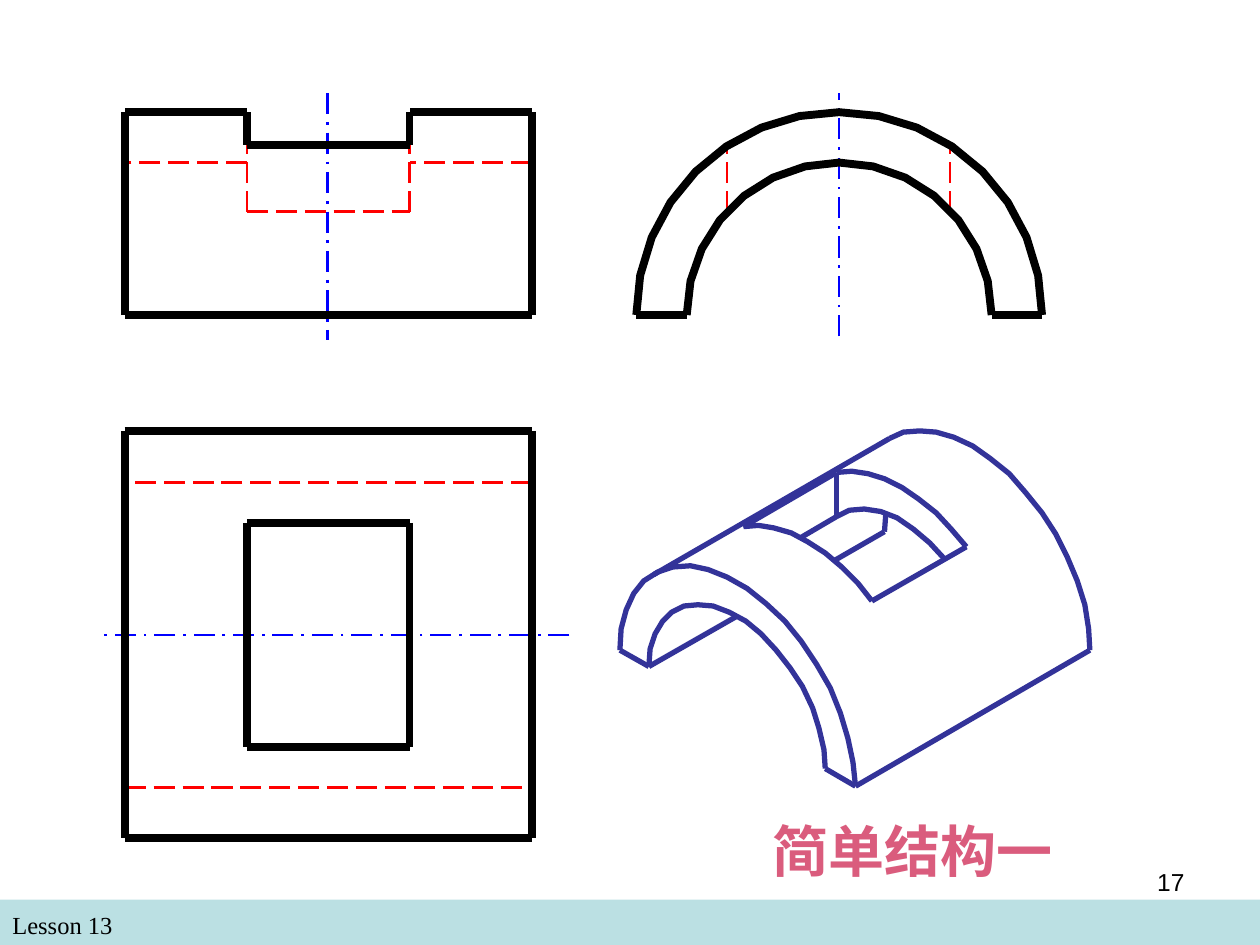
import math

import pptx
import pptx.dml.color
import pptx.enum.dml
import pptx.enum.shapes
import pptx.enum.text
import pptx.oxml
import pptx.oxml.ns
import pptx.util
from lxml import etree
from pptx.util import Inches

RGBColor = pptx.dml.color.RGBColor
BLACK = RGBColor(0x00, 0x00, 0x00)
RED = RGBColor(0xFF, 0x00, 0x00)
BLUE = RGBColor(0x00, 0x00, 0xFF)
INDIGO = RGBColor(0x33, 0x33, 0x99)
PINK = RGBColor(0xDA, 0x5C, 0x7D)
PALE_TEAL = RGBColor(0xBB, 0xE0, 0xE3)
ALIGN = pptx.enum.text.PP_ALIGN
HIDDEN = pptx.enum.dml.MSO_LINE.LONG_DASH
CENTRE = pptx.enum.dml.MSO_LINE.LONG_DASH_DOT

deck = pptx.Presentation()
deck.slide_width, deck.slide_height = Inches(10), Inches(7.5)
page = deck.slides.add_slide(deck.slide_layouts[5])


def draw(points, color, width, dash=None):
    """Draw a connector through two points, or an open outline through more."""
    corners = [(Inches(x), Inches(y)) for x, y in points]
    if len(corners) == 2:
        stroke = page.shapes.add_connector(
            pptx.enum.shapes.MSO_CONNECTOR.STRAIGHT, *corners[0], *corners[1])
    else:
        builder = page.shapes.build_freeform(*corners[0], scale=1)
        builder.add_line_segments(corners[1:], close=False)
        stroke = builder.convert_to_shape()
        stroke.fill.background()
    stroke.line.color.rgb = color
    stroke.line.width = pptx.util.Pt(width)
    if dash:
        stroke.line.dash_style = dash
    etree.SubElement(stroke._element.spPr, pptx.oxml.ns.qn("a:effectLst"))


def write(box, place, text, font, size, color, align=ALIGN.LEFT, bold=False):
    """Place a text box or placeholder and format its single line."""
    box.left, box.top, box.width, box.height = (Inches(v) for v in place)
    frame = box.text_frame
    frame.word_wrap = True
    frame.auto_size = pptx.enum.text.MSO_AUTO_SIZE.NONE
    frame.vertical_anchor = pptx.enum.text.MSO_ANCHOR.TOP
    frame.text = text
    para = frame.paragraphs[0]
    para.alignment = align
    span = para.runs[0]
    span.font.name, span.font.size = font, pptx.util.Pt(size)
    span.font.bold, span.font.color.rgb = bold, color


# Footer band
band = page.shapes.add_shape(
    pptx.enum.shapes.MSO_SHAPE.RECTANGLE,
    Inches(0), Inches(7.14), Inches(10), Inches(0.36))
band.shadow.inherit = False
band.fill.solid()
band.fill.fore_color.rgb = PALE_TEAL
band.line.fill.background()
write(page.shapes.add_textbox(0, 0, 0, 0), (0, 7.17, 4.83, 0.34),
      "Lesson 13", "Times New Roman", 14, BLACK)

# Isometric view: curved edges
outer_back = [
    (8.65, 5.16), (8.64, 4.99), (8.61, 4.8), (8.55, 4.61), (8.47, 4.42),
    (8.38, 4.24), (8.27, 4.07), (8.14, 3.91), (8.01, 3.76), (7.86, 3.64),
    (7.72, 3.54), (7.57, 3.47), (7.43, 3.43), (7.3, 3.42), (7.17, 3.43),
    (7.06, 3.48)]
outer_front = [
    (6.79, 6.24), (6.77, 6.05), (6.73, 5.86), (6.67, 5.66), (6.59, 5.46),
    (6.48, 5.27), (6.36, 5.09), (6.23, 4.93), (6.08, 4.79), (5.93, 4.67),
    (5.77, 4.58), (5.62, 4.52), (5.48, 4.49), (5.34, 4.5), (5.22, 4.54),
    (5.11, 4.61), (5.03, 4.71), (4.97, 4.84), (4.93, 4.99), (4.92, 5.16)]
inner_front = [
    (6.55, 6.1), (6.54, 5.95), (6.5, 5.78), (6.45, 5.62), (6.37, 5.45),
    (6.27, 5.3), (6.16, 5.16), (6.04, 5.03), (5.92, 4.93), (5.79, 4.86),
    (5.66, 4.81), (5.54, 4.8), (5.43, 4.81), (5.33, 4.86), (5.26, 4.93),
    (5.2, 5.03), (5.16, 5.15), (5.15, 5.29)]
slot_front = [
    (6.92, 4.77), (6.81, 4.63), (6.68, 4.5), (6.55, 4.39), (6.41, 4.3),
    (6.28, 4.23), (6.14, 4.19), (6.02, 4.17), (5.9, 4.18)]
slot_back = [
    (7.67, 4.34), (7.55, 4.2), (7.43, 4.07), (7.29, 3.96), (7.16, 3.87),
    (7.02, 3.8), (6.89, 3.76), (6.76, 3.74), (6.64, 3.75)]
slot_floor = [
    (7.5, 4.44), (7.38, 4.31), (7.25, 4.2), (7.12, 4.11), (6.99, 4.06),
    (6.86, 4.04), (6.74, 4.05), (6.64, 4.1)]

# Isometric view: straight edges
iso_edges = [
    [outer_back[0], outer_front[0]],
    [inner_front[-1], outer_front[-1]],
    [outer_front[0], inner_front[0]],
    [(7.03, 4.08), (7.02, 4.22)],
    [(7.02, 4.22), (6.62, 4.45)],
    [(5.85, 4.89), inner_front[-1]],
    [slot_front[-1], slot_back[-1]],
    [slot_floor[-1], (6.35, 4.27)],
    [slot_floor[-1], slot_back[-1]],
    [slot_back[0], slot_front[0]],
    [outer_back[-1], (5.19, 4.56)]]
for edge in [outer_back, outer_front, inner_front, slot_front, slot_back,
             slot_floor, *iso_edges]:
    draw(edge, INDIGO, 3)

# Shared dimensions of the three orthographic views
left, slot_left, slot_right, right = 0.99, 1.96, 3.25, 4.22
crown, slot_rim, bore, slot_base, base = 0.89, 1.15, 1.29, 1.68, 2.5
plan_top, plan_bottom = 3.42, 6.65
cut_top, cut_bottom = 4.15, 5.93
arch_x, outer_radius, inner_radius = 6.66, base - crown, base - bore

# Centre lines
for axis in [[(4.52, 5.04), (0.82, 5.04)],
             [(2.6, 0.74), (2.6, 2.7)],
             [(arch_x, 2.67), (arch_x, 0.74)]]:
    draw(axis, BLUE, 1.5, CENTRE)

# Front view and plan view outlines
visible_edges = [
    [(right, crown), (right, base)],
    [(right, base), (left, base)],
    [(left, base), (left, crown)],
    [(slot_left, crown), (slot_left, slot_rim)],
    [(slot_right, slot_rim), (slot_right, crown)],
    [(slot_right, slot_rim), (slot_left, slot_rim)],
    [(slot_left, crown), (left, crown)],
    [(right, crown), (slot_right, crown)]]
for x1, y1, x2, y2 in [(left, plan_top, right, plan_bottom),
                       (slot_left, cut_top, slot_right, cut_bottom)]:
    visible_edges += [[(x1, y1), (x2, y1)], [(x2, y1), (x2, y2)],
                      [(x2, y2), (x1, y2)], [(x1, y2), (x1, y1)]]

# Side view: two half rings and their feet
for radius, steps in [(outer_radius, 16), (inner_radius, 14)]:
    angles = [math.pi * step / steps for step in range(steps + 1)]
    visible_edges.append([(arch_x + radius * math.cos(angle),
                           base - radius * math.sin(angle)) for angle in angles])
for side in (-1, 1):
    visible_edges.append([(arch_x + side * inner_radius, base),
                          (arch_x + side * outer_radius, base)])

# Hidden edges
hidden_edges = [[(x, slot_base), (x, slot_rim)]
                for x in (slot_right, slot_left, 5.77, 7.54)]
hidden_edges += [
    [(slot_left, slot_base), (slot_right, slot_base)],
    [(slot_left, bore), (left, bore)],
    [(right, bore), (slot_right, bore)],
    [(right, 3.83), (left, 3.83)],
    [(left, 6.25), (right, 6.25)]]
for edge in hidden_edges:
    draw(edge, RED, 1.5, HIDDEN)
for edge in visible_edges:
    draw(edge, BLACK, 4.5)

# Title and page number
write(page.shapes.title, (5.08, 6.43, 4.33, 0.64), "简单结构一",
      "Times New Roman", 32, PINK, ALIGN.CENTER, True)
write(page.shapes.add_textbox(0, 0, 0, 0), (7.17, 6.83, 2.33, 0.52),
      "17", "Arial", 14, BLACK, ALIGN.RIGHT)

deck.save("out.pptx")
